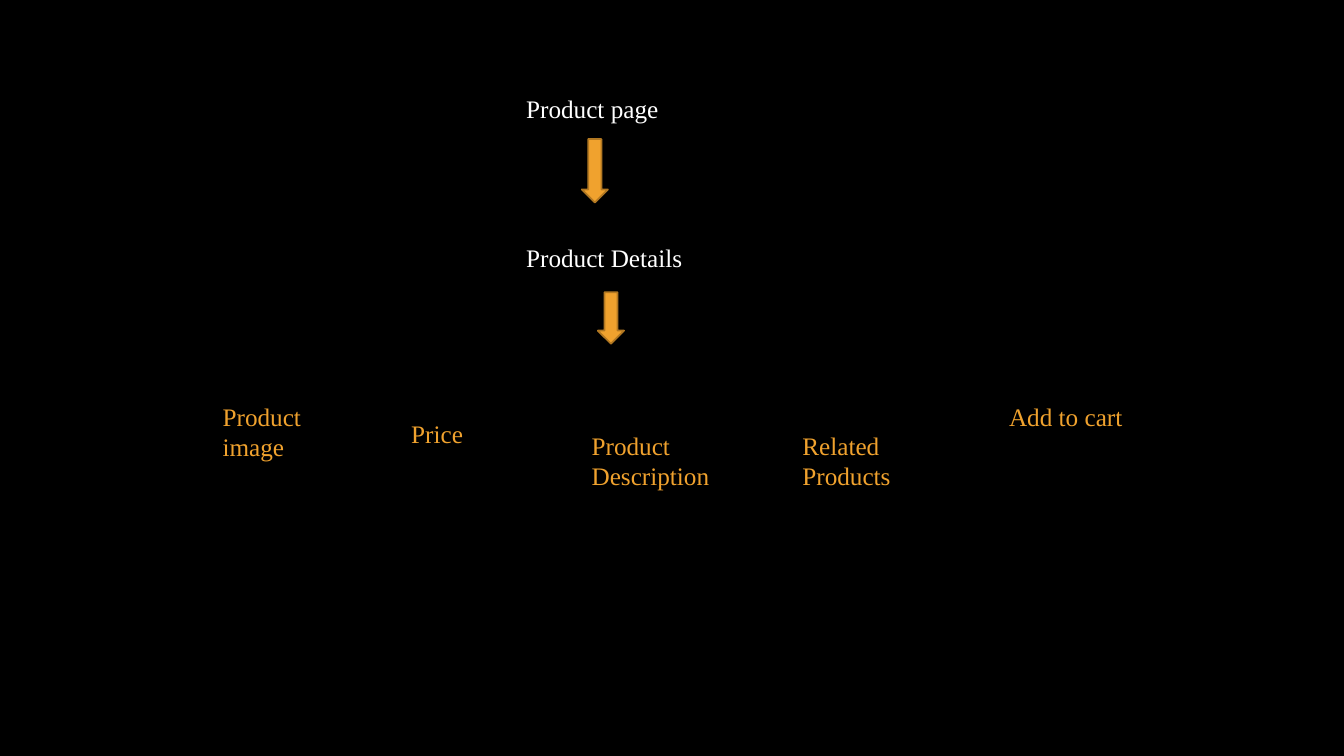
from pptx import Presentation
from pptx.dml.color import RGBColor
from pptx.enum.shapes import MSO_SHAPE as Preset
from pptx.enum.text import MSO_AUTO_SIZE as AutoSize
from pptx.util import Inches, Pt

# Content: text, left, top, width, number of lines (inches)
STEPS = [
    ("Product page", 5.12, 0.88, 2.74, 1),
    ("Product Details", 5.12, 2.36, 1.91, 1),
]
PARTS = [
    ("Product image", 2.11, 3.93, 1.15, 2),
    ("Price", 3.98, 4.1, 1.28, 1),
    ("Product Description", 5.77, 4.22, 1.64, 2),
    ("Related Products", 7.86, 4.22, 1.52, 2),
    ("Add to cart", 9.91, 3.93, 1.73, 1),
]
# Arrows: left, top, height
ARROWS = [(5.77, 1.38, 0.63), (5.93, 2.9, 0.51)]

FONT, TEXT_SIZE = "Times New Roman", 18
WHITE, ORANGE, BROWN, BLACK = "FFFFFF", "F0A22E", "B27822", "000000"
ARROW_WIDTH = 0.26
LINE_HEIGHT, PADDING = 0.3, 0.1


def paint(color_format, value):
    color_format.rgb = RGBColor.from_string(value)


def add_label(slide, label, color):
    text, left, top, width, lines = label
    height = lines * LINE_HEIGHT + PADDING
    box = slide.shapes.add_textbox(*map(Inches, (left, top, width, height)))
    frame = box.text_frame
    frame.word_wrap = True
    frame.auto_size = AutoSize.SHAPE_TO_FIT_TEXT
    run = frame.paragraphs[0].add_run()
    run.text = text
    run.font.name, run.font.size = FONT, Pt(TEXT_SIZE)
    paint(run.font.color, color)


def add_arrow(slide, left, top, height):
    arrow = slide.shapes.add_shape(
        Preset.DOWN_ARROW, *map(Inches, (left, top, ARROW_WIDTH, height)))
    arrow.shadow.inherit = False
    arrow.fill.solid()
    paint(arrow.fill.fore_color, ORANGE)
    paint(arrow.line.color, BROWN)
    arrow.line.width = Pt(1.25)


def main():
    presentation = Presentation()
    presentation.slide_width = Inches(13.33)
    presentation.slide_height = Inches(7.5)
    slide = presentation.slides.add_slide(presentation.slide_layouts[6])
    slide.background.fill.solid()
    paint(slide.background.fill.fore_color, BLACK)

    # Each step is followed by its arrow
    for step, arrow in zip(STEPS, ARROWS):
        add_label(slide, step, WHITE)
        add_arrow(slide, *arrow)

    # Parts of the product details
    for part in PARTS:
        add_label(slide, part, ORANGE)

    presentation.save("out.pptx")


if __name__ == "__main__":
    main()
